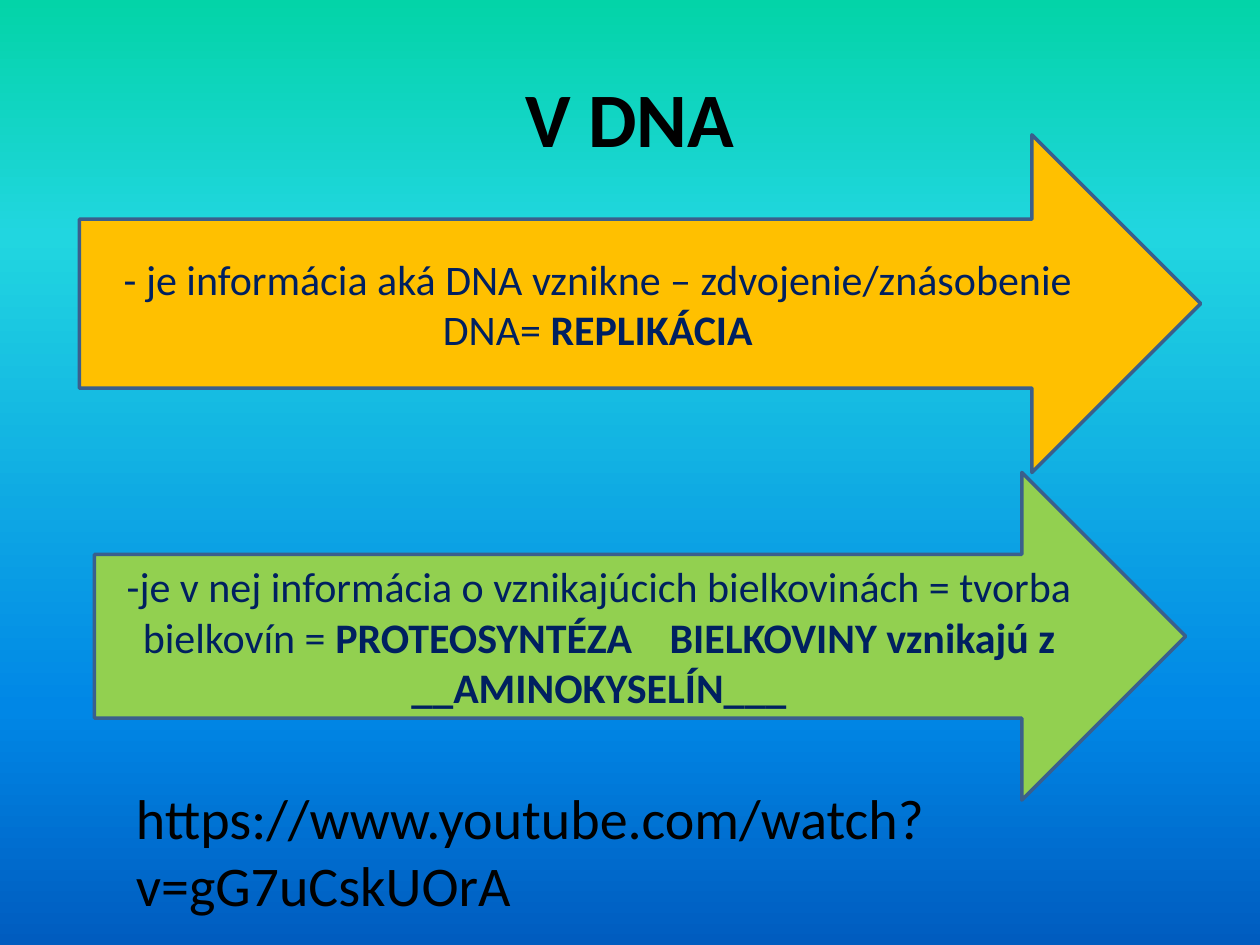
from lxml.etree import SubElement
from pptx import Presentation
from pptx.dml.color import RGBColor
from pptx.enum.shapes import MSO_SHAPE
from pptx.enum.text import MSO_ANCHOR, PP_ALIGN
from pptx.oxml.ns import qn
from pptx.util import Inches, Pt

COLORS = {
    "text": "000000",
    "arrow text": "002060",
    "outline": "3A5F8C",
    "replication": "FFC000",
    "proteosynthesis": "92D050",
}
BACKGROUND_STOPS = [(0, "03D4A8"), (25, "21D6E0"), (75, "0087E6"), (100, "005CBF")]


class SlideBuilder:
    font_name = "Calibri"

    def __init__(self, slide):
        self.slide = slide

    def background(self, stops):
        fill = self.slide.background.fill
        fill.gradient()
        fill.gradient_angle = 270
        stop_list = self.slide.element.find(".//" + qn("a:gsLst"))
        stop_list.clear()
        for percent, color in stops:
            stop = SubElement(stop_list, qn("a:gs"), pos=str(percent * 1000))
            SubElement(stop, qn("a:srgbClr"), val=color)

    def style(self, paragraph, size, color, align):
        paragraph.alignment = align
        paragraph.font.name = self.font_name
        paragraph.font.size = Pt(size)
        paragraph.font.color.rgb = RGBColor.from_string(COLORS[color])

    def text(self, box, text, size, bold=False, align=PP_ALIGN.LEFT, anchor=MSO_ANCHOR.TOP):
        shape = self.slide.shapes.add_textbox(*map(Inches, box))
        frame = shape.text_frame
        frame.word_wrap = True
        frame.vertical_anchor = anchor
        paragraph = frame.paragraphs[0]
        paragraph.text = text
        self.style(paragraph, size, "text", align)
        paragraph.font.bold = bold

    def arrow(self, box, color, runs):
        shape = self.slide.shapes.add_shape(MSO_SHAPE.RIGHT_ARROW, *map(Inches, box))
        shape.shadow.inherit = False
        shape.fill.solid()
        shape.fill.fore_color.rgb = RGBColor.from_string(COLORS[color])
        shape.line.color.rgb = RGBColor.from_string(COLORS["outline"])
        shape.line.width = Pt(2)
        frame = shape.text_frame
        frame.word_wrap = True
        frame.vertical_anchor = MSO_ANCHOR.MIDDLE
        paragraph = frame.paragraphs[0]
        self.style(paragraph, 24, "arrow text", PP_ALIGN.CENTER)
        for text, bold, spacing in runs:
            run = paragraph.add_run()
            run.text = text
            run.font.bold = bold
            if spacing:
                run.font._element.set("spc", str(spacing * 100))


def main():
    presentation = Presentation()
    presentation.slide_width = Inches(10)
    presentation.slide_height = Inches(7.5)
    builder = SlideBuilder(presentation.slides.add_slide(presentation.slide_layouts[6]))
    builder.background(BACKGROUND_STOPS)
    builder.text((0.5, 0.3, 9, 1.25), "V DNA", 44, True, PP_ALIGN.CENTER, MSO_ANCHOR.MIDDLE)
    builder.arrow((0.63, 1.07, 8.9, 2.68), "replication", [
        ("- je informácia aká DNA vznikne – zdvojenie/znásobenie DNA= ", False, 0),
        ("REPLIKÁCIA", True, 0),
    ])
    builder.arrow((0.75, 3.75, 8.66, 2.6), "proteosynthesis", [
        ("-je v nej informácia o vznikajúcich bielkovinách = tvorba bielkovín = ", False, 0),
        ("PROTEOSYNTÉZA", True, 0),
        (" ", True, 16),
        ("BIELKOVINY vznikajú z __AMINOKYSELÍN___", True, 0),
    ])
    builder.text((0.98, 6.17, 7.89, 1.18), "https://www.youtube.com/watch?v=gG7uCskUOrA", 32)
    presentation.save("out.pptx")


if __name__ == "__main__":
    main()
